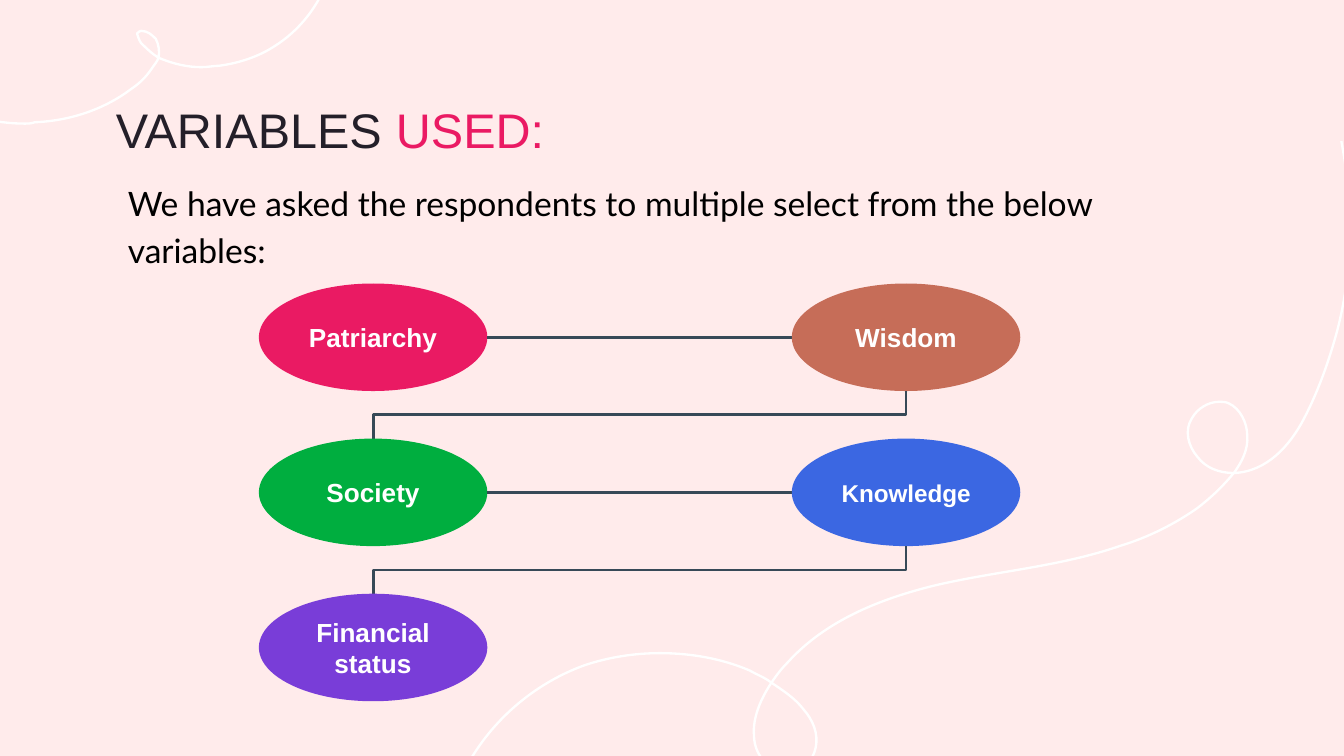
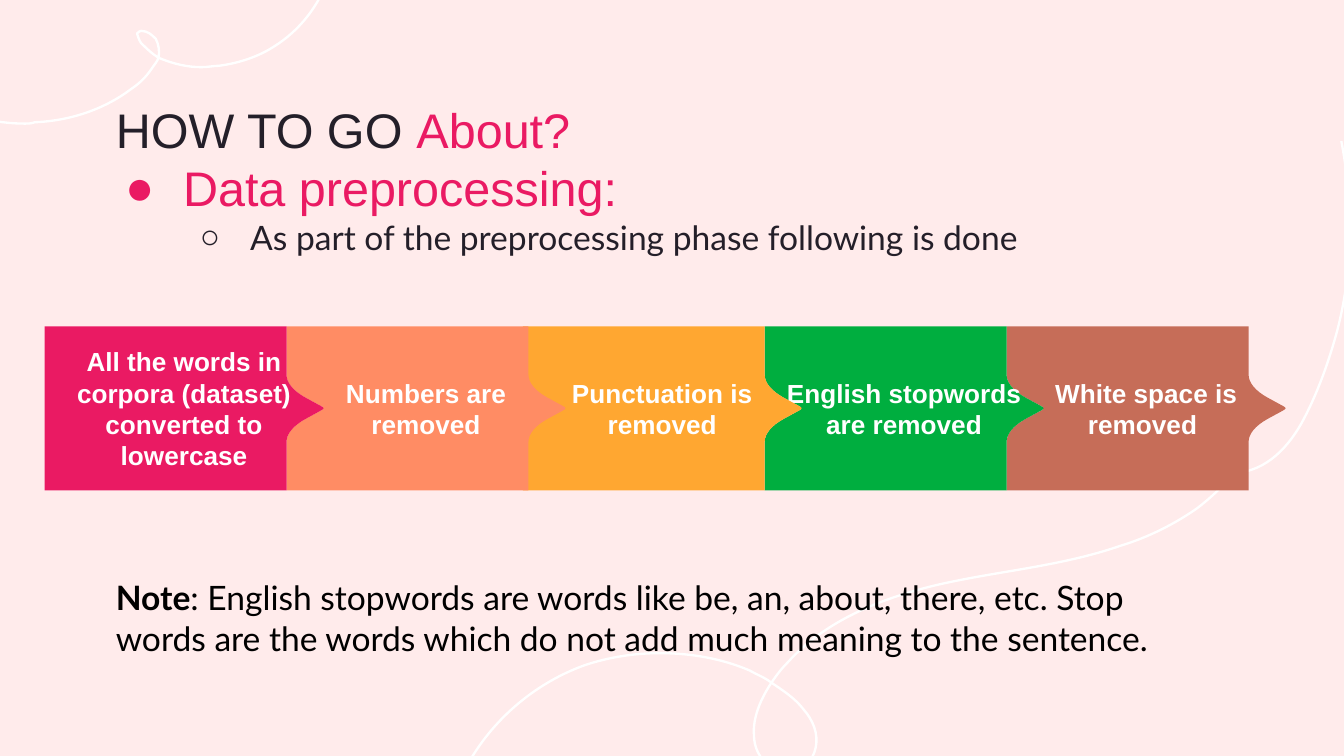
"""Build two survey slides: the variables used and the preprocessing steps."""
from dataclasses import dataclass

from lxml.etree import SubElement
from pptx import Presentation
from pptx.dml.color import RGBColor
from pptx.enum.shapes import MSO_CONNECTOR as Connector, MSO_SHAPE as Preset
from pptx.enum.text import MSO_ANCHOR as Anchor, PP_ALIGN as Align
from pptx.oxml.ns import qn
from pptx.util import Pt


@dataclass(frozen=True)
class Theme:
    background: str = "FFEBEB"
    swirl: str = "FFFFFF"
    light: str = "FFFFFF"
    ink: str = "241F29"
    black: str = "000000"
    pink: str = "EA1A63"
    brown: str = "C66D58"
    green: str = "00AE3F"
    blue: str = "3B67E2"
    purple: str = "793DD8"
    coral: str = "FF8C64"
    orange: str = "FFA731"
    connector: str = "374957"
    heading_font: str = "Arial"
    body_font: str = "Lato"
    title_size: float = 26
    body_size: float = 18
    label_size: float = 14
    small_label_size: float = 13


THEME = Theme()
GRID = 0.72
INSET = 7.2

TOP_SWIRL = ((250, -39), [
    (246, -9, 230, 18, 205, 34), (193, 42, 178, 47, 163, 49),
    (159, 49, 155, 50, 150, 50), (140, 50, 130, 48, 118, 43),
    (113, 40, 109, 36, 105, 32), (104, 31, 104, 30, 103, 28),
    (102, 27, 102, 26, 102, 25), (103, 24, 104, 23, 105, 23),
    (110, 23, 113, 26, 116, 29), (118, 33, 119, 38, 118, 43),
    (117, 46, 115, 48, 113, 51), (109, 57, 104, 62, 98, 66),
    (77, 82, 51, 90, 26, 91), (23, 92, 21, 92, 19, 92),
    (-5, 92, -28, 86, -49, 73), (-51, 71, -54, 70, -57, 68),
])
SIDE_SWIRL = ((998, 105), [
    (1007, 151, 1007, 200, 995, 246), (989, 268, 981, 291, 970, 312),
    (960, 331, 943, 351, 918, 352), (907, 352, 897, 348, 891, 340),
    (884, 332, 881, 320, 887, 311), (891, 304, 899, 299, 907, 299),
    (909, 299, 912, 299, 914, 300), (923, 304, 928, 315, 928, 324),
    (929, 334, 924, 344, 918, 352), (908, 364, 900, 371, 891, 378),
    (874, 390, 854, 400, 834, 406), (788, 422, 740, 425, 694, 436),
    (654, 446, 614, 462, 586, 493), (582, 497, 578, 502, 574, 508),
    (566, 520, 560, 534, 561, 547), (561, 556, 565, 564, 572, 570),
    (576, 573, 582, 576, 587, 576), (597, 575, 605, 566, 607, 556),
    (609, 546, 605, 536, 598, 528), (592, 520, 583, 514, 574, 508),
    (569, 504, 563, 502, 558, 499), (537, 490, 514, 486, 491, 486),
    (472, 486, 453, 489, 435, 495), (399, 508, 368, 534, 349, 567),
    (344, 575, 340, 584, 337, 593),
])
STEP_EDGE = [
    (180, 0), (180, 36), (180, 42, 185, 48, 194, 53), (205, 59),
    (207, 60, 207.5, 60.5, 207.5, 61), (207.5, 61.5, 207, 62, 205, 63),
    (194, 69), (185, 74, 180, 80, 180, 86), (180, 122), (0, 122),
]
STEP_NOTCH = [
    (0, 86), (0, 80, 5, 74, 14, 69), (25, 63), (28, 62, 28, 60, 25, 59),
    (14, 53), (5, 48, 0, 42, 0, 36),
]


def rgb(color):
    """Return the colour object for a hex string."""
    return RGBColor.from_string(color)


def add_outline(slide, start, segments, close):
    """Add a freeform of straight (x, y) and cubic six-value segments."""
    start, *segments = [[Pt(value * GRID) for value in values]
                        for values in (start, *segments)]
    builder = slide.shapes.build_freeform(*start)
    builder.add_line_segments([segment[-2:] for segment in segments], close=close)
    shape = builder.convert_to_shape()
    shape.shadow.inherit = False
    lines = list(shape._element.iter(qn("a:lnTo")))
    for line, segment in zip(lines, segments):
        if len(segment) == 2:
            continue
        line.tag = qn("a:cubicBezTo")
        controls = zip(segment[0:4:2], segment[1:4:2])
        for index, (x, y) in enumerate(controls):
            point = line.makeelement(
                qn("a:pt"), {"x": str(x - shape.left), "y": str(y - shape.top)})
            line.insert(index, point)
    return shape


def decorate_master(presentation, slide):
    """Give the master its background and the two swirls."""
    master = presentation.slide_master
    master.background.fill.solid()
    master.background.fill.fore_color.rgb = rgb(THEME.background)
    for start, segments in (SIDE_SWIRL, TOP_SWIRL):
        swirl = add_outline(slide, start, segments, False)
        swirl.fill.background()
        swirl.line.color.rgb = rgb(THEME.swirl)
        swirl.line.width = Pt(1.25)
        master.shapes._spTree.append(swirl._element)


def add_blank_slide(presentation):
    """Add a slide on the blank layout."""
    return presentation.slides.add_slide(presentation.slide_layouts[6])


def set_font(paragraph, name, size, color=None, bold=False):
    """Set the font that all runs of a paragraph share."""
    paragraph.font.name = name
    paragraph.font.size = Pt(size)
    paragraph.font.bold = bold
    if color:
        paragraph.font.color.rgb = rgb(color)


def set_frame(frame, anchor=Anchor.TOP):
    """Wrap the text and set equal insets."""
    frame.word_wrap = True
    frame.vertical_anchor = anchor
    frame.margin_left = frame.margin_right = Pt(INSET)
    frame.margin_top = frame.margin_bottom = Pt(INSET)


def add_text_box(slide, left, top, width, height):
    """Add a wrapping text box and return its frame."""
    box = slide.shapes.add_textbox(Pt(left), Pt(top), Pt(width), Pt(height))
    set_frame(box.text_frame)
    return box.text_frame


def add_title(slide, dark_part, pink_part):
    """Add the two-colour title and return its frame."""
    frame = add_text_box(slide, 55, 46.4, 609.8, 43.2)
    paragraph = frame.paragraphs[0]
    set_font(paragraph, THEME.heading_font, THEME.title_size)
    for text, color in ((dark_part, THEME.ink), (pink_part, THEME.pink)):
        run = paragraph.add_run()
        run.text = text
        run.font.color.rgb = rgb(color)
    return frame


def add_bullet(frame, text, symbol, margin, hanging, level, font, size, color):
    """Add a bulleted paragraph with a hanging indent."""
    paragraph = frame.add_paragraph()
    paragraph.level = level
    properties = paragraph._p.get_or_add_pPr()
    properties.set("marL", str(Pt(margin)))
    properties.set("indent", str(-Pt(hanging)))
    bullet_color = SubElement(properties, qn("a:buClr"))
    SubElement(bullet_color, qn("a:srgbClr"), val=color)
    SubElement(properties, qn("a:buFont"), typeface=THEME.heading_font)
    SubElement(properties, qn("a:buChar"), char=symbol)
    set_font(paragraph, font, size, color)
    paragraph.add_run().text = text


def fill_label(shape, text, color, size=THEME.label_size):
    """Fill a shape and centre a bold light label in it."""
    shape.fill.solid()
    shape.fill.fore_color.rgb = rgb(color)
    shape.line.fill.background()
    set_frame(shape.text_frame, Anchor.MIDDLE)
    paragraph = shape.text_frame.paragraphs[0]
    paragraph.alignment = Align.CENTER
    set_font(paragraph, THEME.heading_font, size, THEME.light, True)
    paragraph.add_run().text = text


def add_oval(slide, left, top, width, height, text, color, size):
    """Add one labelled variable."""
    shape = slide.shapes.add_shape(
        Preset.FLOWCHART_CONNECTOR, Pt(left), Pt(top), Pt(width), Pt(height))
    shape.shadow.inherit = False
    fill_label(shape, text, color, size)


def add_elbow(slide, left, top, right, bottom, rotation=0):
    """Add a bent connector, turned about its centre."""
    connector = slide.shapes.add_connector(
        Connector.ELBOW, Pt(left), Pt(top), Pt(right), Pt(bottom))
    connector.rotation = rotation
    connector.line.color.rgb = rgb(THEME.connector)
    connector.line.width = Pt(1.5)
    SubElement(connector._element.spPr, qn("a:effectLst"))


def add_variable_flow(slide, variables):
    """Lay the variables out in two columns and join them in reading order."""
    left, top, width, height = 138.7, 151.9, 122.4, 57.6
    column_pitch, row_pitch = 285.5, 83.1
    gap = row_pitch - height
    for index, (text, color, size) in enumerate(variables):
        row, column = divmod(index, 2)
        x, y = left + column * column_pitch, top + row * row_pitch
        add_oval(slide, x, y, width, height, text, color, size)
        if index == len(variables) - 1:
            continue
        if column == 0:
            middle = y + height / 2
            add_elbow(slide, x + width, middle, x + column_pitch, middle)
        else:
            center_x = x + width / 2 - column_pitch / 2
            center_y = y + height + gap / 2
            add_elbow(slide, center_x - gap / 2, center_y - column_pitch / 2,
                      center_x + gap / 2, center_y + column_pitch / 2, 90)


def add_step(slide, left, top, text, color, notched):
    """Add one process step with a pointed right edge."""
    segments = STEP_EDGE + (STEP_NOTCH if notched else [])
    moved = [[value + (left, top)[index % 2] for index, value in enumerate(segment)]
             for segment in segments]
    fill_label(add_outline(slide, (left, top), moved, True), text, color)


def build_variables_slide(slide):
    """Build the slide that names the variables."""
    add_title(slide, "VARIABLES ", "USED:")
    paragraph = add_text_box(slide, 61.4, 87.8, 562.3, 36).paragraphs[0]
    paragraph.line_spacing = 1.15
    paragraph.space_after = Pt(12)
    set_font(paragraph, THEME.body_font, THEME.body_size, THEME.black)
    paragraph.add_run().text = (
        "We have asked the respondents to multiple select from the below variables:")
    add_variable_flow(slide, [
        ("Patriarchy", THEME.pink, THEME.label_size),
        ("Wisdom", THEME.brown, THEME.label_size),
        ("Society", THEME.green, THEME.label_size),
        ("Knowledge", THEME.blue, THEME.small_label_size),
        ("Financial status", THEME.purple, THEME.label_size),
    ])


def build_preprocessing_slide(slide):
    """Build the slide that shows the preprocessing steps."""
    frame = add_title(slide, "HOW TO GO ", "About?")
    add_bullet(frame, "Data preprocessing:", "●", 36, 31, 0,
               THEME.heading_font, THEME.title_size, THEME.pink)
    add_bullet(frame, "As part of the preprocessing phase following is done",
               "○", 72, 27, 1, THEME.body_font, THEME.body_size, THEME.ink)
    steps = [
        (33.2, "All the words in corpora (dataset) converted to lowercase",
         THEME.pink, False),
        (213.2, "Numbers are removed", THEME.coral, True),
        (389, "Punctuation is removed", THEME.orange, False),
        (569, "English stopwords are removed", THEME.green, True),
        (749, "White space is removed ", THEME.brown, True),
    ]
    for left, text, color, notched in reversed(steps):
        add_step(slide, left, 242.8, text, color, notched)
    note = add_text_box(slide, 55, 302, 576, 58.3).paragraphs[0]
    set_font(note, THEME.body_font, THEME.body_size, THEME.black)
    lead = note.add_run()
    lead.text = "Note"
    lead.font.bold = True
    note.add_run().text = (
        ": English stopwords are words like be, an, about, there, etc. Stop words "
        "are the words which do not add much meaning to the sentence.")


def main():
    """Create and save the presentation."""
    presentation = Presentation()
    presentation.slide_width = Pt(720)
    presentation.slide_height = Pt(405)
    variables_slide = add_blank_slide(presentation)
    decorate_master(presentation, variables_slide)
    build_variables_slide(variables_slide)
    build_preprocessing_slide(add_blank_slide(presentation))
    presentation.save("out.pptx")


if __name__ == "__main__":
    main()
